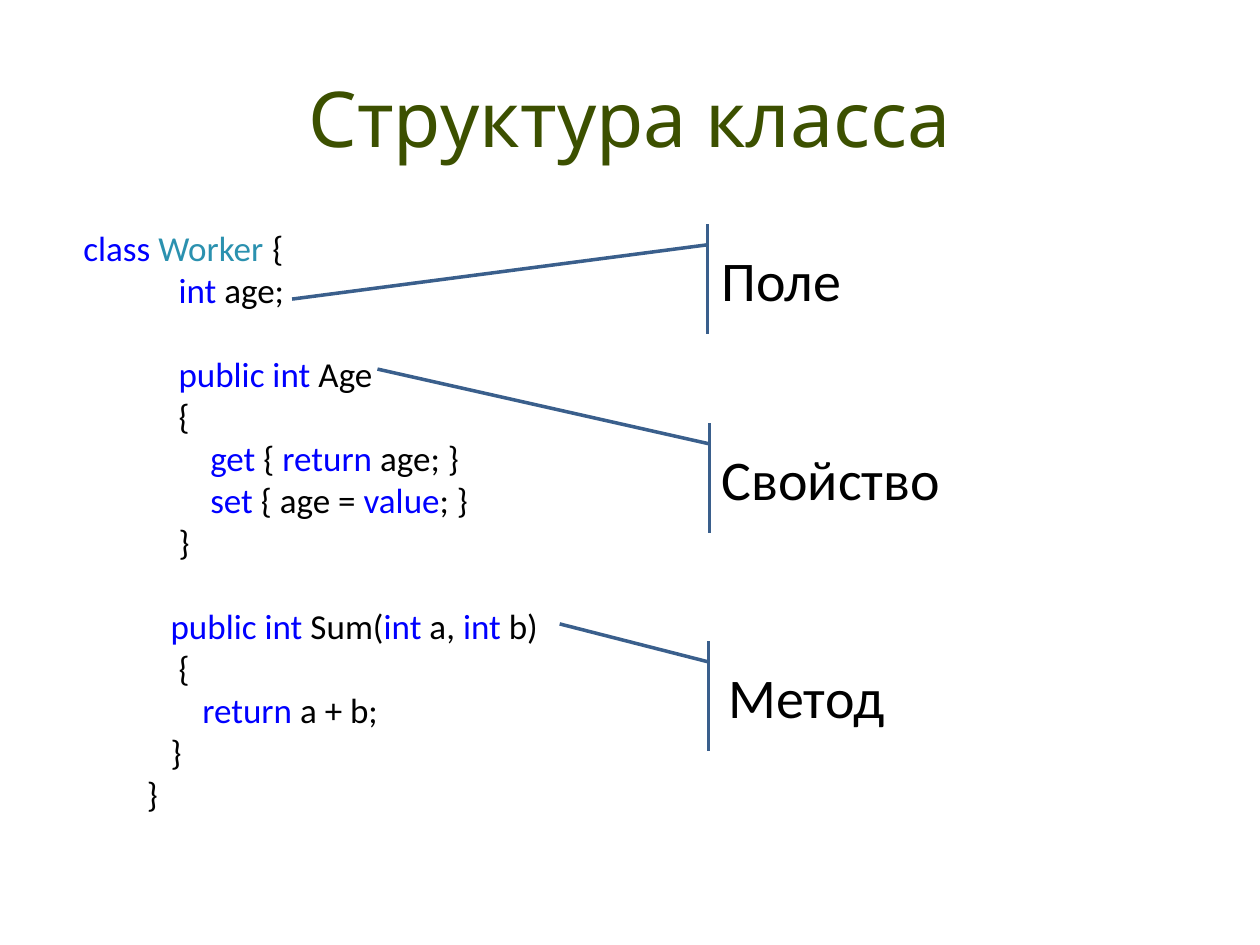
from dataclasses import dataclass

from lxml import etree
from pptx import Presentation
from pptx.dml.color import RGBColor
from pptx.enum.shapes import MSO_SHAPE
from pptx.enum.text import MSO_ANCHOR, PP_ALIGN
from pptx.oxml.ns import qn
from pptx.util import Inches, Pt

CALLOUT = MSO_SHAPE.LINE_CALLOUT_1_ACCENT_BAR
MIDDLE = MSO_ANCHOR.MIDDLE
CENTER = PP_ALIGN.CENTER


@dataclass(frozen=True)
class Theme:
    title_font: str = "Karla"
    body_font: str = "Calibri"
    title: RGBColor = RGBColor(0x3C, 0x50, 0x00)
    plain: RGBColor = RGBColor(0x00, 0x00, 0x00)
    keyword: RGBColor = RGBColor(0x00, 0x00, 0xFF)
    type_name: RGBColor = RGBColor(0x2B, 0x91, 0xAF)
    line: RGBColor = RGBColor(0x3A, 0x5F, 0x8C)
    title_size: int = 44
    label_size: int = 32
    code_size: int = 20
    code_pitch: int = 24
    line_width: int = 2


@dataclass(frozen=True)
class CodeLine:
    indent: int  # in character columns
    spans: tuple[tuple[str, RGBColor], ...]
    gap_before: bool = False


@dataclass(frozen=True)
class Callout:
    label: str
    top: float
    width: float
    tip_y: float  # pointer end, as a share of height
    tip_x: float  # pointer end, as a share of width


THEME = Theme()
PLAIN, KEYWORD, TYPE_NAME = THEME.plain, THEME.keyword, THEME.type_name
COLUMN = 0.063
BRACE_TAB = 2.06
CALLOUT_LEFT, CALLOUT_HEIGHT = 5.59, 0.87
BAR_Y, BAR_X = 0.188, 0.02

CODE = (
    CodeLine(1, (("class ", KEYWORD), ("Worker\t", TYPE_NAME), ("{", PLAIN))),
    CodeLine(13, (("int", KEYWORD), (" age;", PLAIN))),
    CodeLine(13, (("public int ", KEYWORD), ("Age", PLAIN)), gap_before=True),
    CodeLine(13, (("{", PLAIN),)),
    CodeLine(17, (("get", KEYWORD), (" { ", PLAIN), ("return", KEYWORD), (" age; }", PLAIN))),
    CodeLine(17, (("set", KEYWORD), (" { age = ", PLAIN), ("value", KEYWORD), ("; }", PLAIN))),
    CodeLine(13, (("}", PLAIN),)),
    CodeLine(12, (("public int", KEYWORD), (" Sum(", PLAIN), ("int", KEYWORD),
                  (" a, ", PLAIN), ("int", KEYWORD), (" b)", PLAIN)), gap_before=True),
    CodeLine(13, (("{", PLAIN),)),
    CodeLine(16, (("return", KEYWORD), (" a + b;", PLAIN))),
    CodeLine(12, (("}", PLAIN),)),
    CodeLine(9, (("}", PLAIN),)),
)

CALLOUTS = (
    Callout("Поле", 1.78, 1.22, 0.683, -2.682),
    Callout("Свойство", 3.36, 2.01, -0.495, -1.291),
    Callout("Метод", 5.09, 1.62, -0.159, -0.709),
)


def set_centred_text(shape, text: str, font: str, size: int, color: RGBColor) -> None:
    frame = shape.text_frame
    frame.word_wrap = True
    frame.vertical_anchor = MIDDLE
    para = frame.paragraphs[0]
    para.text = text
    para.alignment = CENTER
    para.font.name = font
    para.font.size = Pt(size)
    para.font.color.rgb = color


def add_code_line(para, line: CodeLine) -> None:
    para.font.name = THEME.body_font
    para.font.size = Pt(THEME.code_size)
    para.line_spacing = Pt(THEME.code_pitch)
    para.space_before = Pt(THEME.code_pitch if line.gap_before else 0)
    for text, color in line.spans:
        span = para.add_run()
        span.text = text
        span.font.color.rgb = color
    # Left indent, and a tab stop where a line needs one
    properties = para._p.get_or_add_pPr()
    properties.set("marL", str(Inches(line.indent * COLUMN)))
    properties.set("indent", "0")
    if any("\t" in text for text, _ in line.spans):
        tabs = etree.Element(qn("a:tabLst"))
        etree.SubElement(tabs, qn("a:tab"), pos=str(Inches(BRACE_TAB)), algn="l")
        properties.find(qn("a:defRPr")).addprevious(tabs)


def add_callout(page, callout: Callout) -> None:
    shape = page.shapes.add_shape(CALLOUT, Inches(CALLOUT_LEFT), Inches(callout.top),
                                  Inches(callout.width), Inches(CALLOUT_HEIGHT))
    for index, value in enumerate((BAR_Y, BAR_X, callout.tip_y, callout.tip_x)):
        shape.adjustments[index] = value
    shape.shadow.inherit = False
    shape.fill.background()
    shape.line.color.rgb = THEME.line
    shape.line.width = Pt(THEME.line_width)
    set_centred_text(shape, callout.label, THEME.body_font, THEME.label_size, PLAIN)


deck = Presentation()
deck.slide_width, deck.slide_height = Inches(10), Inches(7.5)
page = deck.slides.add_slide(deck.slide_layouts[6])

# Title
title_box = page.shapes.add_textbox(Inches(0.5), Inches(0.3), Inches(9), Inches(1.25))
set_centred_text(title_box, "Структура класса", THEME.title_font, THEME.title_size, THEME.title)

# Code listing
code_box = page.shapes.add_textbox(Inches(0.5), Inches(1.75), Inches(9), Inches(5.15))
code_frame = code_box.text_frame
code_frame.word_wrap = True
for number, code_line in enumerate(CODE):
    code_para = code_frame.add_paragraph() if number else code_frame.paragraphs[0]
    add_code_line(code_para, code_line)

# Labels pointing at the class members
for member in CALLOUTS:
    add_callout(page, member)

deck.save("out.pptx")
